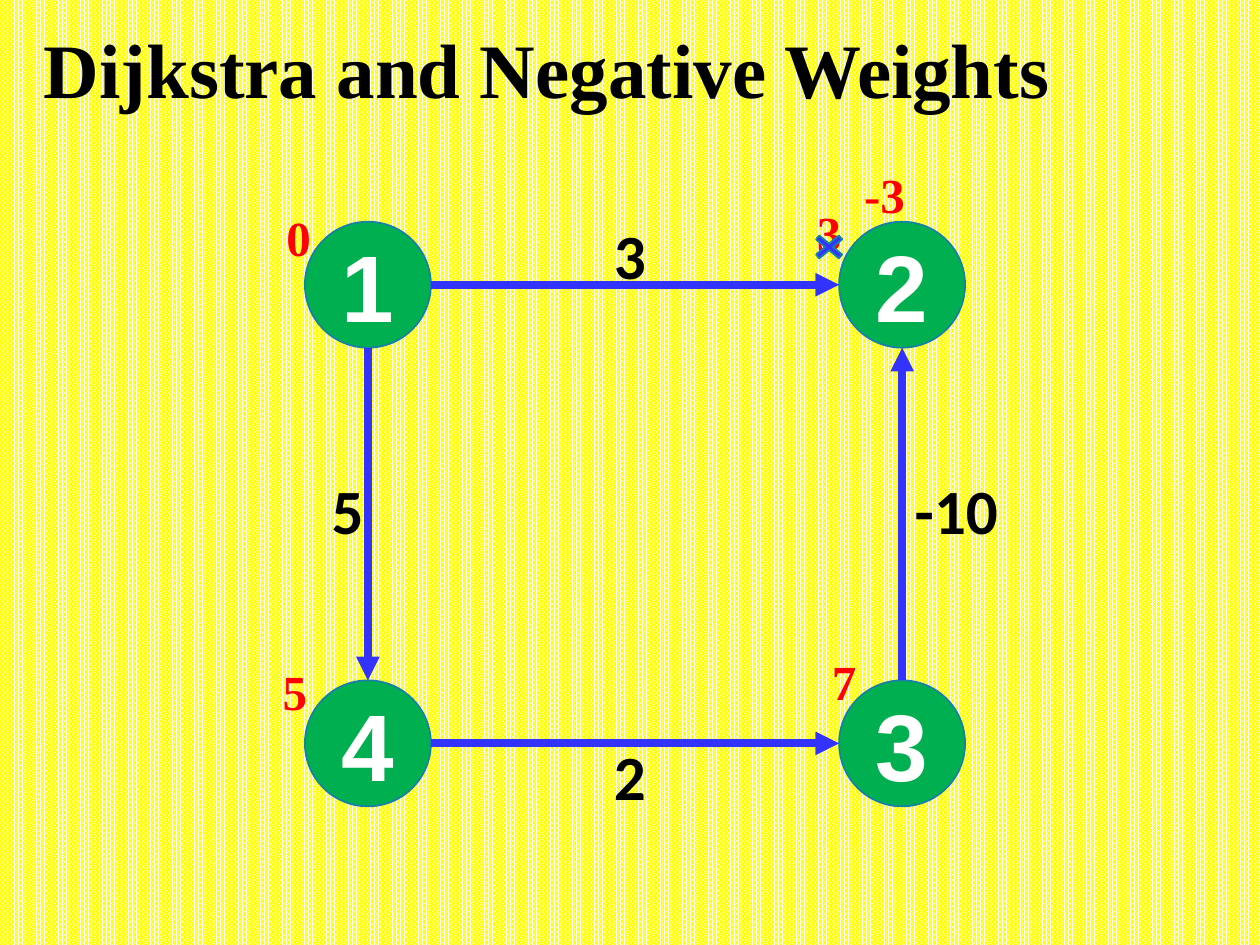
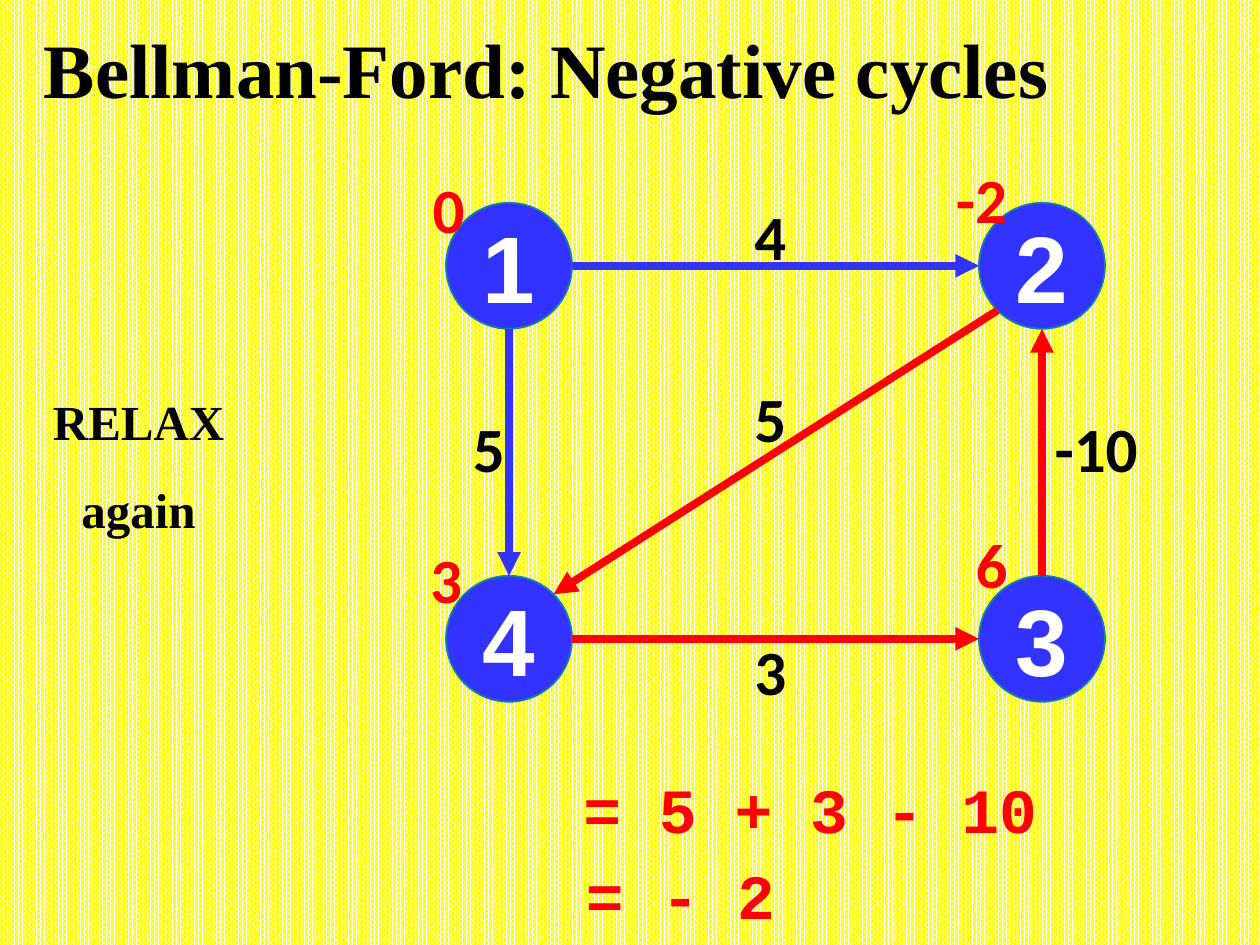
from math import hypot
from lxml import etree
from pptx import Presentation
from pptx.dml.color import RGBColor
from pptx.enum.dml import MSO_PATTERN
from pptx.enum.shapes import MSO_CONNECTOR, MSO_SHAPE
from pptx.enum.text import MSO_ANCHOR, PP_ALIGN
from pptx.oxml.ns import qn
from pptx.util import Inches, Pt

BLACK = RGBColor(0x00, 0x00, 0x00)
WHITE = RGBColor(0xFF, 0xFF, 0xFF)
YELLOW = RGBColor(0xFF, 0xFF, 0x00)
GREEN = RGBColor(0x00, 0xB0, 0x50)
BLUE = RGBColor(0x33, 0x33, 0xFF)
RED = RGBColor(0xFF, 0x00, 0x00)
TEAL = RGBColor(0x15, 0x80, 0xA9)

SERIF, SANS, LABEL, MONO = "Times New Roman", "Arial", "Calibri", "Courier New"
RADIUS = 0.5
CORNERS = {"1": (0, 0), "2": (1, 0), "3": (1, 1), "4": (0, 1)}
ABOVE, BELOW, RIGHT, LEFT = (-0.04, -0.24), (-0.04, 0.25), (0.43, -0.04), (-0.16, -0.04)

GRAPHS = [
    {
        "title": "Dijkstra and Negative Weights",
        "xs": (2.92, 7.16), "ys": (2.26, 5.9), "node_fill": GREEN,
        "edges": [("1", "2", "3", ABOVE, BLUE), ("1", "4", "5", LEFT, BLUE),
                  ("3", "2", "-10", RIGHT, BLUE), ("4", "3", "2", BELOW, BLUE)],
        "distance_font": (SERIF, 28),
        "distances": [("1", "0", (-0.55, -0.38)), ("4", "5", (-0.58, -0.42)),
                      ("2", "3", (-0.58, -0.42)), ("3", "7", (-0.46, -0.5)),
                      ("2", "-3", (-0.14, -0.72))],
        "crossed_out": [("2", (-0.58, -0.3))],
        "notes": [],
    },
    {
        "title": "Bellman-Ford: Negative cycles",
        "xs": (4.04, 8.27), "ys": (2.11, 5.07), "node_fill": BLUE,
        "edges": [("1", "2", "4", ABOVE, BLUE), ("1", "4", "5", LEFT, BLUE),
                  ("3", "2", "-10", RIGHT, RED), ("4", "3", "3", BELOW, RED),
                  ("2", "4", "5", (-0.04, -0.28), RED)],
        "distance_font": (LABEL, 36),
        "distances": [("1", "0", (-0.48, -0.46)), ("4", "3", (-0.5, -0.48)),
                      ("2", "-2", (-0.48, -0.54)), ("3", "6", (-0.4, -0.6))],
        "crossed_out": [],
        "notes": [(["RELAX", "again"], (0.15, 2.82, 1.9, 1.51), SERIF, 28, BLACK, 1.5),
                  (["= 5 + 3 - 10"], (3.78, 6.06, 5.3, 0.71), MONO, 36, RED, 1),
                  (["= - 2"], (3.78, 6.74, 3.24, 0.71), MONO, 36, RED, 1)],
    },
]


def write(sp, lines, font, size, color, spacing=1, align=PP_ALIGN.CENTER):
    tf = sp.text_frame
    tf.word_wrap = True
    tf.vertical_anchor = MSO_ANCHOR.MIDDLE
    tf.text = "\n".join(lines)
    for p in tf.paragraphs:
        p.alignment = align
        p.line_spacing = spacing
        for r in p.runs:
            r.font.name, r.font.size, r.font.bold = font, Pt(size), True
            r.font.color.rgb = color


def add_text(slide, lines, box, *style, **options):
    sp = slide.shapes.add_textbox(*map(Inches, box))
    write(sp, lines, *style, **options)


def add_label(slide, text, point, offset, font, size, color):
    width, height = 1, size / 60 + 0.11
    x, y = point[0] + offset[0], point[1] + offset[1]
    add_text(slide, [text], (x - width / 2, y - height / 2, width, height), font, size, color)


def add_filled(slide, kind, center, width, height, color):
    x, y = center
    sp = slide.shapes.add_shape(kind, *map(Inches, (x - width / 2, y - height / 2, width, height)))
    sp.shadow.inherit = False
    sp.fill.solid()
    sp.fill.fore_color.rgb = color
    sp.line.color.rgb = TEAL
    sp.line.width = Pt(1)
    return sp


def add_arrow(slide, start, end, color):
    steps = [(b > a) - (b < a) for a, b in zip(start, end)]
    reach = RADIUS / hypot(*steps)
    begin = [a + reach * s for a, s in zip(start, steps)]
    finish = [b - reach * s for b, s in zip(end, steps)]
    line = slide.shapes.add_connector(MSO_CONNECTOR.STRAIGHT, *map(Inches, begin + finish))
    line.line.color.rgb = color
    line.line.width = Pt(4.5)
    etree.SubElement(line.line._get_or_add_ln(), qn("a:tailEnd"), type="triangle")
    etree.SubElement(line._element.spPr, qn("a:effectLst"))


def add_graph_slide(prs, graph):
    slide = prs.slides.add_slide(prs.slide_layouts[6])
    bg = slide.background.fill
    bg.patterned()
    bg.pattern = MSO_PATTERN.PERCENT_80
    bg.fore_color.rgb, bg.back_color.rgb = WHITE, YELLOW
    add_text(slide, [graph["title"]], (0.25, 0.15, 9.43, 0.87), SERIF, 44, BLACK,
             spacing=0.9, align=PP_ALIGN.LEFT)

    centers = {name: (graph["xs"][col], graph["ys"][row]) for name, (col, row) in CORNERS.items()}
    for name, center in centers.items():
        node = add_filled(slide, MSO_SHAPE.OVAL, center, 2 * RADIUS, 2 * RADIUS, graph["node_fill"])
        write(node, [name], SANS, 54, WHITE)

    for source, target, weight, offset, color in graph["edges"]:
        start, end = centers[source], centers[target]
        add_arrow(slide, start, end, color)
        middle = [(a + b) / 2 for a, b in zip(start, end)]
        add_label(slide, weight, middle, offset, LABEL, 36, BLACK)

    for name, distance, offset in graph["distances"]:
        add_label(slide, distance, centers[name], offset, *graph["distance_font"], RED)

    for name, (dx, dy) in graph["crossed_out"]:
        x, y = centers[name]
        cross = add_filled(slide, MSO_SHAPE.MATH_MULTIPLY, (x + dx, y + dy), 0.35, 0.29, BLUE)
        cross.adjustments[0] = 0.14

    for note in graph["notes"]:
        add_text(slide, *note)


def main():
    prs = Presentation()
    prs.slide_width, prs.slide_height = Inches(10), Inches(7.5)
    for graph in GRAPHS:
        add_graph_slide(prs, graph)
    prs.save("out.pptx")


if __name__ == "__main__":
    main()
